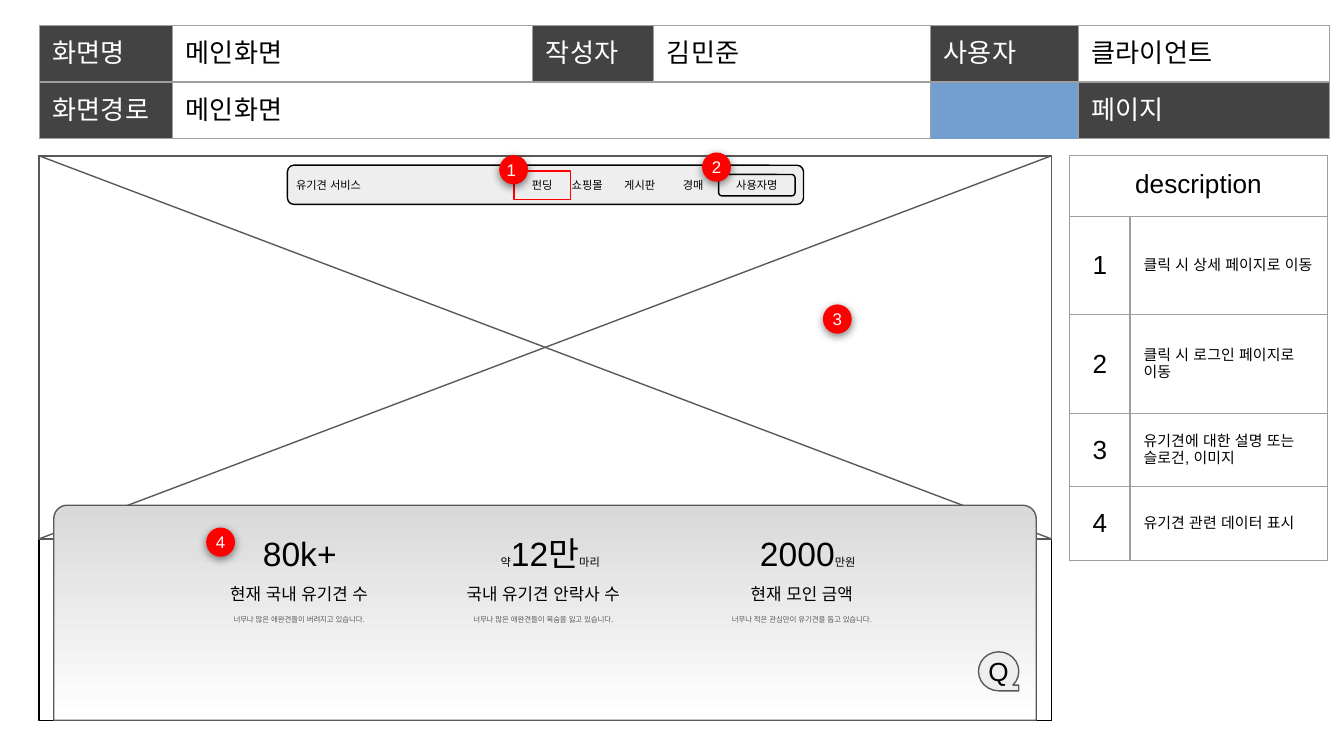
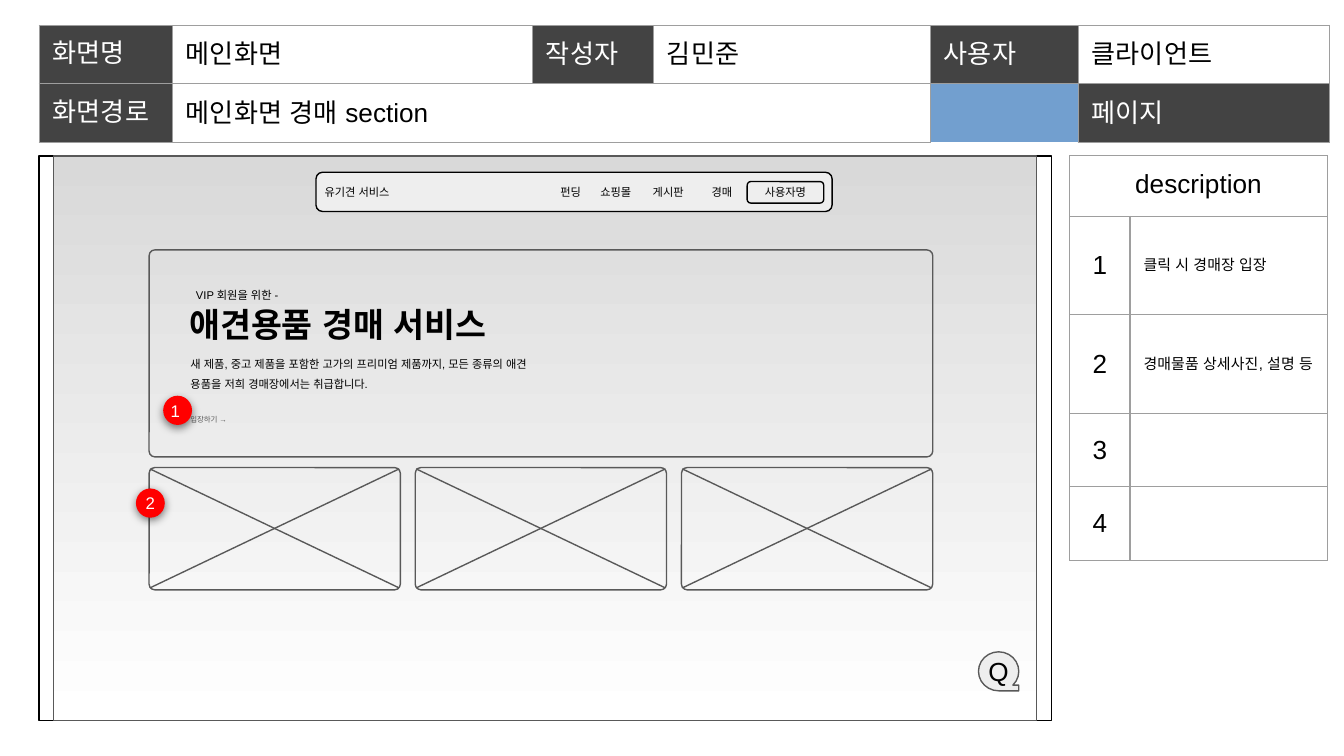
from lxml import etree
from pptx import Presentation
from pptx.dml.color import RGBColor
from pptx.enum.shapes import MSO_CONNECTOR, MSO_SHAPE
from pptx.enum.text import MSO_ANCHOR, PP_ALIGN
from pptx.oxml import parse_xml
from pptx.oxml.ns import qn
from pptx.util import Pt

RECT, ROUND = MSO_SHAPE.RECTANGLE, MSO_SHAPE.ROUNDED_RECTANGLE
TOP_ROUND, OVAL = MSO_SHAPE.ROUND_2_SAME_RECTANGLE, MSO_SHAPE.OVAL
BUBBLE = MSO_SHAPE.FLOWCHART_SEQUENTIAL_ACCESS_STORAGE
STRAIGHT = MSO_CONNECTOR.STRAIGHT
LEFT, CENTER = PP_ALIGN.LEFT, PP_ALIGN.CENTER
TOP, MIDDLE = MSO_ANCHOR.TOP, MSO_ANCHOR.MIDDLE

FONT = "Arial"
BLACK, WHITE, RED = "000000", "FFFFFF", "FF0000"
DARK, GRAY, PALE, SHADE, BORDER = "434343", "595959", "EEEEEE", "D9D9D9", "9E9E9E"
INSET, LINE = 7.2, 0.75
DRAWING = "http://schemas.openxmlformats.org/drawingml/2006/main"

HEADER_BOX = (21, 13.7, 691.2, 60.6)
HEADER_COLUMNS = (71.3, 193, 64.8, 116.6, 31.7, 79.2, 134.6)
NOTES_BOX = (573, 83.5, 138.2, 216.8)
NOTES_COLUMNS = (32.4, 105.8)
NOTES_ROWS = (32.4, 52.8, 52.8, 39.4, 39.4)
FRAME = (21, 83.5, 542.2, 302.4)
HERO = (21, 83.5, 542.2, 205.2)
PANEL_LEFT, PANEL_WIDTH = 28.8, 526.3
CARD_STEP = 142.6


def color(value):
    """Turn a hex string into a colour."""
    return RGBColor.from_string(value)


def points(*values):
    """Turn numbers into lengths in points."""
    return [Pt(value) for value in values]


def write(frame, spans, ink=BLACK, align=CENTER, anchor=MIDDLE, bold=False, insets=(INSET, INSET)):
    """Fill a text frame with one paragraph of (text, size) spans."""
    frame.word_wrap = True
    frame.vertical_anchor = anchor
    frame.margin_left = frame.margin_right = Pt(insets[0])
    frame.margin_top = frame.margin_bottom = Pt(insets[1])
    para = frame.paragraphs[0]
    para.alignment = align
    for text, size in spans:
        span = para.add_run()
        span.text = text
        style_span(span, size, ink, bold)
    return para


def style_span(span, size, ink, bold):
    """Set the font of one run, East Asian letters included."""
    font = span.font
    font.name, font.size, font.bold = FONT, Pt(size), bold
    font.color.rgb = color(ink)
    east = etree.Element(qn("a:ea"), typeface=FONT)
    font._element.find(qn("a:latin")).addnext(east)


def add_text(page, box, text, size, **style):
    """Add a text box with a single span."""
    return write(page.shapes.add_textbox(*points(*box)).text_frame, [(text, size)], **style)


def add_box(page, kind, box, line=GRAY, fill=None, corners=()):
    """Add a preset shape without shadow."""
    shape = page.shapes.add_shape(kind, *points(*box))
    shape.shadow.inherit = False
    shape.line.color.rgb = color(line)
    shape.line.width = Pt(LINE)
    if fill:
        shape.fill.solid()
        shape.fill.fore_color.rgb = color(fill)
    else:
        shape.fill.background()
    for index, value in enumerate(corners):
        shape.adjustments[index] = value
    return shape


def add_cross(page, box):
    """Draw both diagonals of a box."""
    left, top, width, height = box
    for start, end in ((top, top + height), (top + height, top)):
        line = page.shapes.add_connector(STRAIGHT, *points(left, start, left + width, end))
        line.line.color.rgb = color(GRAY)
        line.line.width = Pt(LINE)
        etree.SubElement(line._element.spPr, qn("a:effectLst"))


def add_marker(page, left, top, number):
    """Add a numbered red dot with a soft shadow."""
    dot = add_box(page, OVAL, (left, top, 14.7, 14.9), RED, RED)
    write(dot.text_frame, [(number, 9)], WHITE, insets=(0, INSET))
    shadow = parse_xml(
        f'<a:outerShdw xmlns:a="{DRAWING}" blurRad="57150" dist="19050" dir="5400000"'
        ' algn="bl" rotWithShape="0"><a:srgbClr val="000000"><a:alpha val="50000"/>'
        "</a:srgbClr></a:outerShdw>")
    dot._element.spPr.find(qn("a:effectLst")).append(shadow)


def add_grid(page, box, widths, heights):
    """Add a plain table with the given columns and rows."""
    table = page.shapes.add_table(len(heights), len(widths), *points(*box)).table
    table.first_row = table.horz_banding = False
    for column, width in zip(table.columns, widths):
        column.width = Pt(width)
    for row, height in zip(table.rows, heights):
        row.height = Pt(height)
    for cell in table.iter_cells():
        cell.fill.background()
        properties = cell._tc.get_or_add_tcPr()
        for index, side in enumerate(("lnL", "lnR", "lnT", "lnB")):
            properties.insert(index, parse_xml(
                f'<a:{side} xmlns:a="{DRAWING}" w="{Pt(LINE)}"><a:solidFill>'
                f'<a:srgbClr val="{BORDER}"/></a:solidFill></a:{side}>'))
    return table


def fill_cell(cell, text, size, fill=None, anchor=MIDDLE, **style):
    """Write and colour one table cell."""
    write(cell.text_frame, [(text, size)], **style)
    cell.vertical_anchor = anchor
    cell.margin_left = cell.margin_right = cell.margin_top = cell.margin_bottom = Pt(INSET)
    if fill:
        cell.fill.solid()
        cell.fill.fore_color.rgb = color(fill)


def add_header(page, route):
    """Add the screen information table."""
    table = add_grid(page, HEADER_BOX, HEADER_COLUMNS, (30.3, 30.3))
    table.cell(0, 3).merge(table.cell(0, 4))
    table.cell(1, 1).merge(table.cell(1, 4))
    rows = (
        ((0, "화면명"), (1, "메인화면"), (2, "작성자"), (3, "김민준"), (5, "사용자"), (6, "클라이언트")),
        ((0, "화면경로"), (1, route), (5, "페이지"), (6, "1")),
    )
    labels = (0, 2, 5)
    for row, entries in enumerate(rows):
        for column, text in entries:
            label = column in labels
            fill_cell(table.cell(row, column), text, 14, DARK if label else WHITE,
                      TOP if column == 0 else MIDDLE, ink=WHITE if label else BLACK, align=LEFT)


def add_notes(page, notes):
    """Add the numbered description table."""
    table = add_grid(page, NOTES_BOX, NOTES_COLUMNS, NOTES_ROWS)
    table.cell(0, 0).merge(table.cell(0, 1))
    fill_cell(table.cell(0, 0), "description", 14, anchor=TOP)
    for row in range(1, len(NOTES_ROWS)):
        fill_cell(table.cell(row, 0), str(row), 14)
    for row, note in enumerate(notes, 1):
        fill_cell(table.cell(row, 1), note, 8, align=LEFT)


def add_panel(page, top, corner):
    """Add the shaded panel that reaches the bottom of the frame."""
    height = FRAME[1] + FRAME[3] - top
    panel = add_box(page, TOP_ROUND, (PANEL_LEFT, top, PANEL_WIDTH, height), corners=(corner, 0))
    panel.fill.gradient()
    panel.fill.gradient_angle = 270
    for stop, shade, position in zip(panel.fill.gradient_stops, (SHADE, WHITE), (0, 1)):
        stop.color.rgb = color(shade)
        stop.position = position


def add_navigation(page, left, top, highlight=False):
    """Add the service menu bar."""
    add_box(page, ROUND, (left, top, 276.5, 21), BLACK, PALE, (0.167,))
    button = add_box(page, ROUND, (left + 231, top + 5, 41, 11.5), BLACK, PALE, (0.167,))
    write(button.text_frame, [("사용자명", 6)])
    items = (("유기견 서비스", -4, 52), ("펀딩", 121.3, 30.2), ("쇼핑몰", 142.2, 36.7),
             ("게시판", 170.3, 36.7), ("경매", 202.3, 30.2))
    for text, offset, width in items:
        add_text(page, (left + offset, top + 3.2, width, 15.1), text, 6)
    if highlight:
        add_box(page, RECT, (left + 121.3, top + 3.2, 30.2, 15.1), RED)


def add_chat_button(page):
    """Add the round question button."""
    bubble = add_box(page, BUBBLE, (524.2, 349.2, 21.6, 20.9), GRAY, PALE)
    write(bubble.text_frame, [("Q", 14)], insets=(0, 0))


def add_statistics(page, top):
    """Add three figures with their captions."""
    statistics = (
        (160.2, 160.6, 57.6, [("80k+", 18)], "현재 국내 유기견 수", "너무나 많은 애완견들이 버려지고 있습니다."),
        (291, 294.8, 88.6, [("약", 6), ("12만", 18), ("마리", 6)], "국내 유기견 안락사 수",
         "너무나 많은 애완견들이 목숨을 잃고 있습니다."),
        (429.5, 432.7, 74.9, [("2000", 18), ("만원", 6)], "현재 모인 금액",
         "너무나 적은 관심만이 유기견을 돕고 있습니다."),
    )
    for center, middle, width, figure, caption, remark in statistics:
        box = page.shapes.add_textbox(*points(middle - width / 2, top + 7.6, width, 36))
        write(box.text_frame, figure)
        add_text(page, (center - 56.5, top + 36.7, 113, 20.9), caption, 9, anchor=TOP)
        add_text(page, (center - 53.6, top + 55.5, 107.3, 11.5), remark, 4, ink=GRAY)


def add_auction(page, left, top):
    """Add the auction banner and its three image cards."""
    add_box(page, ROUND, (left, top, 419.8, 110.9), corners=(0.028,))
    add_text(page, (left + 18, top + 16.6, 66.2, 15.1), "VIP 회원을 위한 -", 6, align=LEFT)
    add_text(page, (left + 14.4, top + 31.7, 197.3, 16.6), "애견용품 경매 서비스", 18, align=LEFT, bold=True)
    body = add_text(page, (left + 15.1, top + 50.4, 196.6, 28.1),
                    "새 제품, 중고 제품을 포함한 고가의 프리미엄 제품까지, 모든 종류의 "
                    "애견 용품을 저희 경매장에서는 취급합니다.", 6, align=LEFT)
    body.line_spacing = 1.5
    add_text(page, (left + 15.1, top + 87.8, 38.2, 5.8), "입장하기 →", 4, ink=GRAY, align=LEFT)
    for index in range(3):
        card_left, card_top = left + index * CARD_STEP, top + 116.6
        add_box(page, ROUND, (card_left, card_top, 134.6, 65.5), corners=(0.047,))
        add_cross(page, (card_left + 0.4, card_top + 0.7, 133.6, 63.8))


def build_main(page):
    """Build the main screen slide."""
    add_box(page, RECT, FRAME, BLACK)
    add_box(page, RECT, HERO)
    add_notes(page, ("클릭 시 상세 페이지로 이동", "클릭 시 로그인 페이지로 이동",
                     "유기견에 대한 설명 또는 슬로건, 이미지", "유기견 관련 데이터 표시"))
    add_header(page, "메인화면")
    add_cross(page, HERO)
    add_panel(page, 270.7, 0.062)
    add_navigation(page, 154, 88.5, highlight=True)
    add_statistics(page, 270.7)
    for left, top, number in ((441.2, 163.5, "3"), (376.5, 82.1, "2"),
                              (110.8, 283, "4"), (267.8, 83.5, "1 ")):
        add_marker(page, left, top, number)
    add_chat_button(page)


def build_auction(page):
    """Build the auction section slide."""
    add_box(page, RECT, FRAME, BLACK)
    add_panel(page, FRAME[1], 0)
    add_auction(page, 79.9, 133.9)
    add_notes(page, ("클릭 시 경매장 입장", "경매물품 상세사진, 설명 등"))
    add_header(page, "메인화면 경매 section")
    add_marker(page, 87.8, 212.4, "1 ")
    add_marker(page, 73.2, 262.1, "2")
    add_navigation(page, 169.3, 92.3)
    add_chat_button(page)


def main():
    """Build and save the deck."""
    deck = Presentation()
    deck.slide_width, deck.slide_height = Pt(720), Pt(405)
    blank = deck.slide_layouts[6]
    for build in (build_main, build_auction):
        build(deck.slides.add_slide(blank))
    deck.save("out.pptx")


if __name__ == "__main__":
    main()
